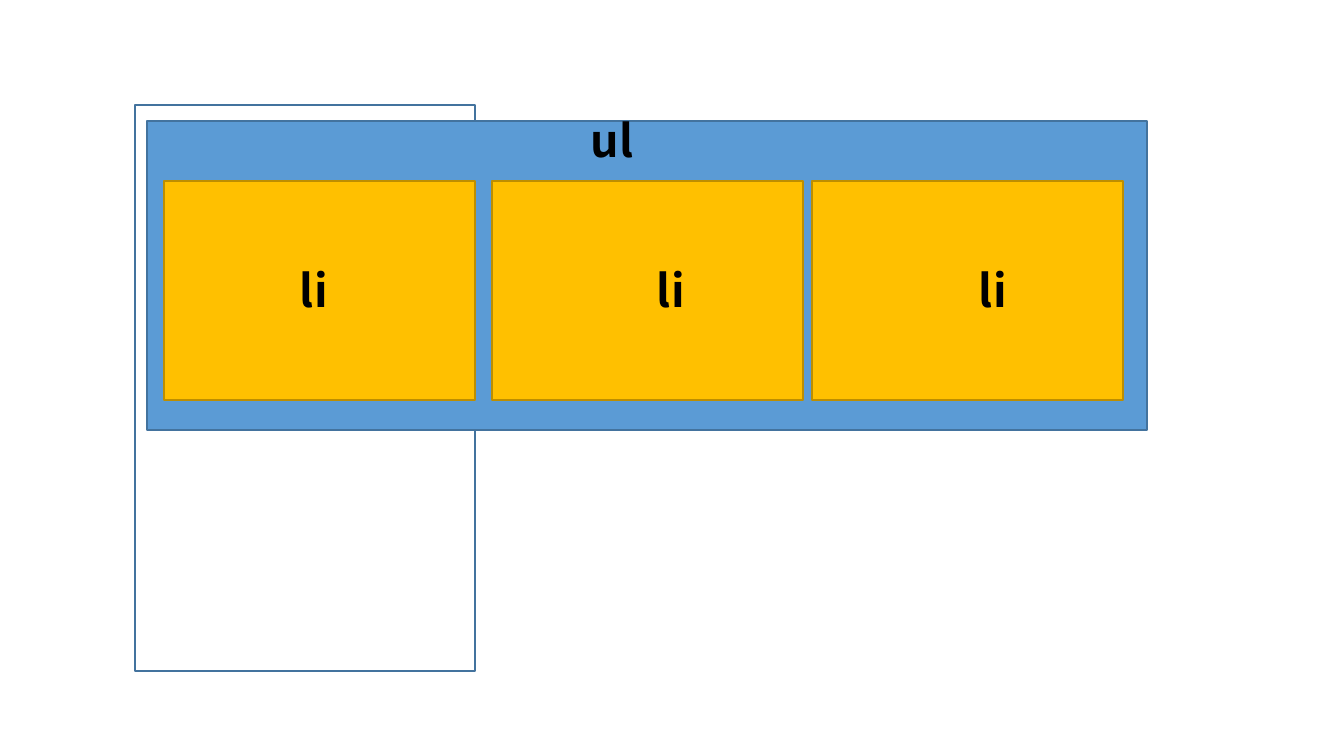
import pptx
import pptx.util
import pptx.dml.color
import pptx.enum.shapes
import pptx.enum.text

RGBColor = pptx.dml.color.RGBColor
WHITE = RGBColor(0xFF, 0xFF, 0xFF)
BLACK = RGBColor(0x00, 0x00, 0x00)
BLUE = RGBColor(0x5B, 0x9B, 0xD5)
DARK_BLUE = RGBColor(0x43, 0x73, 0x9E)
AMBER = RGBColor(0xFF, 0xC0, 0x00)
DARK_AMBER = RGBColor(0xBD, 0x8E, 0x00)

FONT = "Noto Sans CJK KR"
EMU_PER_PX = 914400 / 100.8


def px(length):
    return pptx.util.Emu(round(length * EMU_PER_PX))


def add_box(slide, left, top, width, height, fill, line):
    box = slide.shapes.add_shape(
        pptx.enum.shapes.MSO_SHAPE.RECTANGLE,
        px(left), px(top), px(width), px(height))
    box.shadow.inherit = False
    box.fill.solid()
    box.fill.fore_color.rgb = fill
    box.line.color.rgb = line
    box.line.width = pptx.util.Pt(1)


def add_label(slide, left, top, text):
    label = slide.shapes.add_textbox(px(left), px(top), px(74), px(65))
    frame = label.text_frame
    frame.word_wrap = True
    frame.auto_size = pptx.enum.text.MSO_AUTO_SIZE.SHAPE_TO_FIT_TEXT
    paragraph = frame.paragraphs[0]
    paragraph.text = text
    paragraph.font.name = FONT
    paragraph.font.size = pptx.util.Pt(32)
    paragraph.font.bold = True
    paragraph.font.color.rgb = BLACK


def add_viewport(slide, left, top, width, height):
    add_box(slide, left, top, width, height, WHITE, DARK_BLUE)


def add_list(slide, left, top, width, height):
    add_box(slide, left, top, width, height, BLUE, DARK_BLUE)
    # Items: offset of each box and of its label from the list's left edge
    items = [(17, 143), (345, 500), (665, 822)]
    for item_offset, _ in items:
        add_box(slide, left + item_offset, top + 60, 311, 219,
                AMBER, DARK_AMBER)
    # Labels
    add_label(slide, left + 434, top - 13, "ul")
    for _, label_offset in items:
        add_label(slide, left + label_offset, top + 137, "li")


def main():
    deck = pptx.Presentation()
    deck.slide_width = px(1344)
    deck.slide_height = px(756)
    slide = deck.slides.add_slide(deck.slide_layouts[6])
    # Visible frame, then the wide list sliding across it
    add_viewport(slide, 135, 105, 340, 566)
    add_list(slide, 147, 121, 1000, 309)
    deck.save("out.pptx")


if __name__ == "__main__":
    main()
